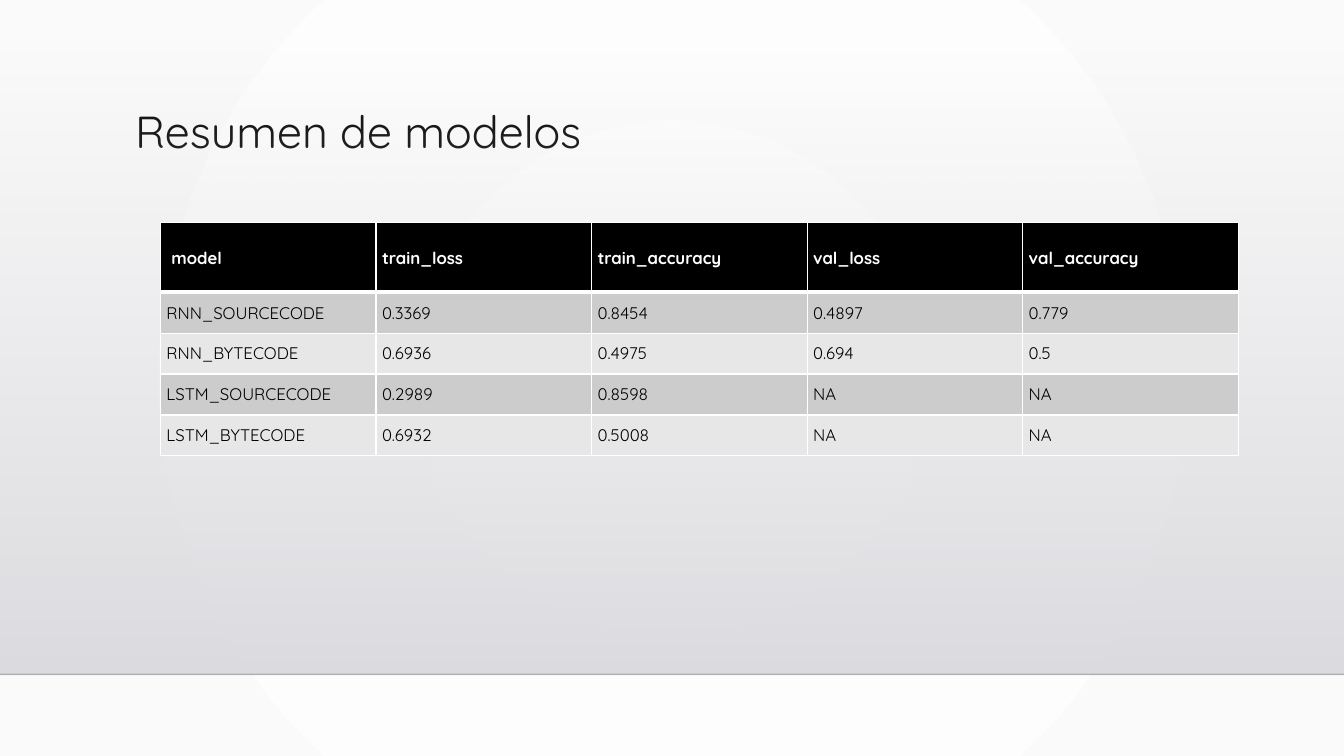
from lxml.etree import SubElement as Sub
from pptx import Presentation
from pptx.dml.color import RGBColor as RGB
from pptx.enum.shapes import MSO_CONNECTOR as Line, MSO_SHAPE as Shape
from pptx.enum.text import MSO_ANCHOR as Anchor, PP_ALIGN as Align
from pptx.oxml.ns import qn
from pptx.util import Pt

FONT = "Quicksand"
COLORS = {
    "ink": "000000",
    "paper": "FFFFFF",
    "edge": "FAFAFA",
    "mist": "DCDCE0",
    "haze": "DEDEE2",
    "rule": "000001",
    "odd": "CCCCCC",
    "even": "E7E7E7",
}
WIDE, HIGH = 960, 540
FLOOR = 481.7
ROWS = [
    ["model", "train_loss", "train_accuracy", "val_loss", "val_accuracy"],
    ["RNN_SOURCECODE", "0.3369", "0.8454", "0.4897", "0.779"],
    ["RNN_BYTECODE", "0.6936", "0.4975", "0.694", "0.5"],
    ["LSTM_SOURCECODE", "0.2989", "0.8598", "NA", "NA"],
    ["LSTM_BYTECODE", "0.6932", "0.5008", "NA", "NA"],
]


def tint(name):
    return RGB.from_string(COLORS[name])


def blend(fill, first, last):
    fill.gradient()
    for stop, name, place in zip(fill.gradient_stops, (first, last), (0, 1)):
        stop.color.rgb = tint(name)
        stop.position = place


def fade(item, share):
    """Set the opacity, in percent, of the item's first explicit colour."""
    color = item.element.xpath(".//a:srgbClr")[0]
    Sub(color, qn("a:alpha"), val=str(share * 1000))


def style(frame, size, color, bold=False):
    for para in frame.paragraphs:
        para.alignment = Align.LEFT
        for run in para.runs:
            font = run.font
            font.name, font.size, font.bold = FONT, Pt(size), bold
            font.color.rgb = tint(color)


def add_back(slide):
    """Fill the background with a gradient that spreads from the centre."""
    blend(slide.background.fill, "paper", "edge")
    grad = slide.element.xpath(".//p:bg//a:gradFill")[0]
    grad.remove(grad.find(qn("a:lin")))
    ring = Sub(grad, qn("a:path"), path="circle")
    Sub(ring, qn("a:fillToRect"), l="50000", t="50000", r="50000", b="50000")


def add_wall(slide):
    top = 36.7
    wall = slide.shapes.add_shape(
        Shape.RECTANGLE, Pt(0), Pt(top), Pt(WIDE), Pt(FLOOR - top))
    wall.shadow.inherit = False
    wall.line.fill.background()
    blend(wall.fill, "mist", "haze")
    wall.fill.gradient_angle = 270
    fade(wall, 0)


def add_rule(slide):
    rule = slide.shapes.add_connector(
        Line.STRAIGHT, Pt(0), Pt(FLOOR), Pt(WIDE), Pt(FLOOR))
    rule.line.width = Pt(1)
    rule.line.color.rgb = tint("rule")
    fade(rule, 20)
    Sub(rule.element.spPr, qn("a:effectLst"))


def set_title(slide, text):
    title = slide.shapes.title
    title.left, title.top = Pt(89.3), Pt(74.9)
    title.width, title.height = Pt(756), Pt(82.8)
    frame = title.text_frame
    frame.text = text
    frame.vertical_anchor = Anchor.TOP
    frame.paragraphs[0].line_spacing = 0.9
    style(frame, 32, "ink")


def add_edges(cell, widths):
    """Draw white borders of the given widths, by side letter."""
    props = cell._tc.get_or_add_tcPr()
    for side, width in widths.items():
        edge = Sub(props, qn(f"a:ln{side}"), w=str(Pt(width)))
        Sub(Sub(edge, qn("a:solidFill")), qn("a:srgbClr"), val=COLORS["paper"])


def fill_cell(cell, text, row):
    head = row == 0
    add_edges(cell, {"L": 1, "R": 1, "T": 3 if row == 1 else 1,
                     "B": 3 if head else 1})
    cell.fill.solid()
    cell.fill.fore_color.rgb = tint(
        "ink" if head else "odd" if row % 2 else "even")
    cell.vertical_anchor = Anchor.MIDDLE
    cell.margin_left = cell.margin_right = Pt(4.3)
    cell.margin_top = Pt(3.6 if head else 1.4)
    cell.margin_bottom = Pt(2.2 if head else 1.4)
    cell.text_frame.text = text
    style(cell.text_frame, 12, "paper" if head else "ink", head)


def add_grid(slide, rows):
    head, step, col = 50, 29.2, 154
    count, cols = len(rows), len(rows[0])
    high = head + step * (count - 1)
    grid = slide.shapes.add_table(
        count, cols, Pt(114.6), Pt(158.8), Pt(col * cols), Pt(high)).table
    for column in grid.columns:
        column.width = Pt(col)
    for r, texts in enumerate(rows):
        grid.rows[r].height = Pt(step if r else head)
        for c, text in enumerate(texts):
            fill_cell(grid.cell(r, c), text, r)
    grid.cell(0, 0).margin_left = Pt(7.8)


def main():
    deck = Presentation()
    deck.slide_width, deck.slide_height = Pt(WIDE), Pt(HIGH)
    slide = deck.slides.add_slide(deck.slide_layouts[5])
    add_back(slide)
    add_wall(slide)
    add_rule(slide)
    set_title(slide, "Resumen de modelos")
    add_grid(slide, ROWS)
    deck.save("out.pptx")


if __name__ == "__main__":
    main()
